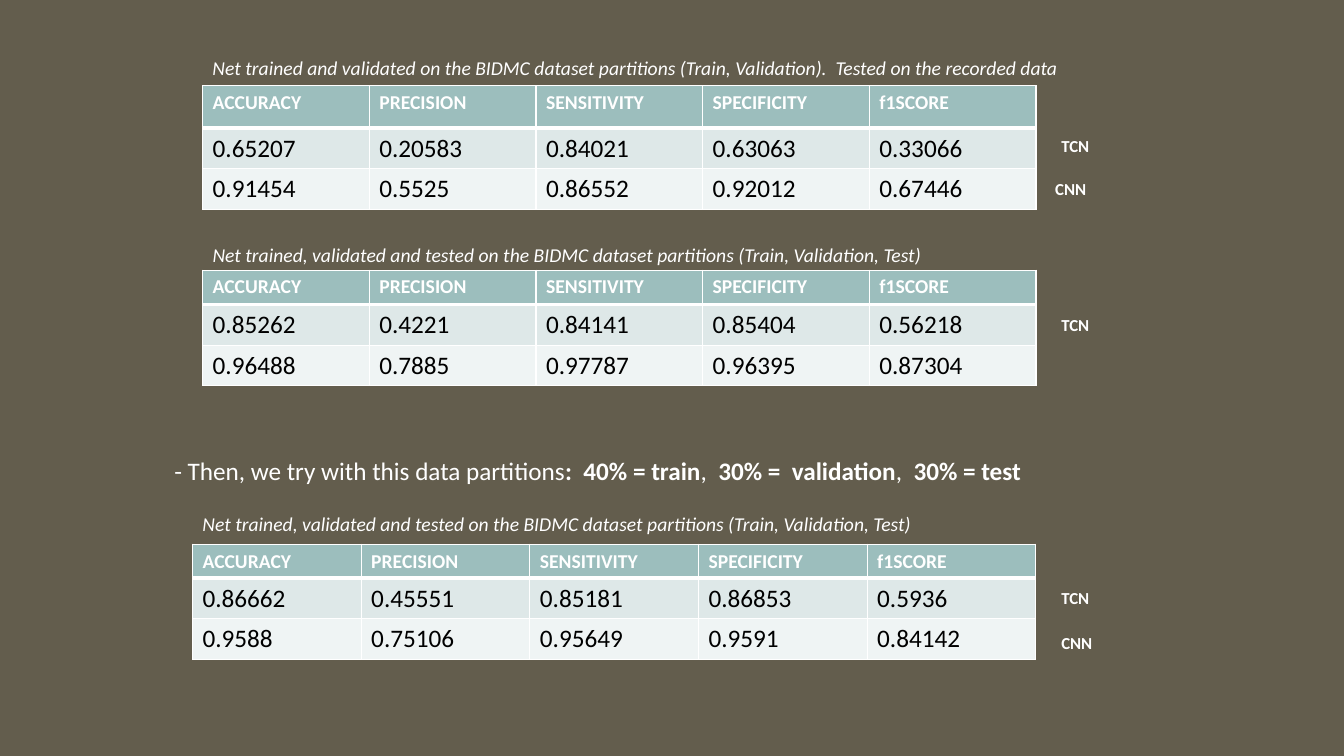
from dataclasses import dataclass

from lxml import etree
from pptx import Presentation
from pptx.dml.color import RGBColor
from pptx.oxml.ns import qn
from pptx.util import Pt


@dataclass(frozen=True)
class Theme:
    font: str = "Calibri"
    back: str = "635D4D"
    light: str = "FFFFFF"
    dark: str = "000000"
    head: str = "9CBEBD"
    bands: tuple = ("DEE8E8", "EFF4F4")
    body: int = 18
    small: int = 14
    tag: int = 12


THEME = Theme()
HEADS = ("ACCURACY", "PRECISION", "SENSITIVITY", "SPECIFICITY", "f1SCORE")
ROW = 29
SAME = "Net trained, validated and tested on the BIDMC dataset partitions (Train, Validation, Test)"
GROUPS = (
    dict(
        box=(144.7, 61.2, 595.3), head=30.3, lift=24.5, wide=640,
        title="Net trained and validated on the BIDMC dataset partitions (Train, Validation).  Tested on the recorded data",
        rows=(("0.65207", "0.20583", "0.84021", "0.63063", "0.33066"),
              ("0.91454", "0.5525", "0.86552", "0.92012", "0.67446")),
        tags=(("TCN", 11, 32.4), ("CNN", 6.6, 62.6)),
    ),
    dict(
        box=(144.7, 193, 595.3), head=24.5, lift=23, wide=531, title=SAME,
        rows=(("0.85262", "0.4221", "0.84141", "0.85404", "0.56218"),
              ("0.96488", "0.7885", "0.97787", "0.96395", "0.87304")),
        tags=(("TCN", 11, 28),),
    ),
    dict(
        box=(137.5, 388.8, 602.5), head=24, lift=26.6, wide=531, title=SAME,
        rows=(("0.86662", "0.45551", "0.85181", "0.86853", "0.5936"),
              ("0.9588", "0.75106", "0.95649", "0.9591", "0.84142")),
        tags=(("TCN", 11, 27.4), ("CNN", 11, 59.8)),
    ),
)
SPLIT = (
    ("- Then, we try with this data partitions", False),
    (":  40% = train", True),
    (",  ", False),
    ("30% =  validation", True),
    (",  ", False),
    ("30% = test", True),
)


def write(frame, text, size=THEME.body, color=THEME.light, bold=False, italic=False):
    run = frame.paragraphs[0].add_run()
    run.text = text
    font = run.font
    font.name = THEME.font
    font.size = Pt(size)
    font.bold = bold
    font.italic = italic
    font.color.rgb = RGBColor.from_string(color)


def add_box(slide, left, top, width, height):
    frame = slide.shapes.add_textbox(Pt(left), Pt(top), Pt(width), Pt(height)).text_frame
    frame.word_wrap = True
    return frame


def edge(cell, bottom):
    props = cell._tc.get_or_add_tcPr()
    for side, width in (("L", 1), ("R", 1), ("T", 1), ("B", bottom)):
        line = etree.SubElement(props, qn(f"a:ln{side}"), w=str(Pt(width)))
        fill = etree.SubElement(line, qn("a:solidFill"))
        etree.SubElement(fill, qn("a:srgbClr"), val=THEME.light)


def paint(cell, color, bottom=1):
    edge(cell, bottom)
    cell.fill.solid()
    cell.fill.fore_color.rgb = RGBColor.from_string(color)


def add_grid(slide, box, head, rows):
    left, top, width = box
    high = head + ROW * len(rows)
    table = slide.shapes.add_table(
        len(rows) + 1, len(HEADS), Pt(left), Pt(top), Pt(width), Pt(high)).table
    for col in table.columns:
        col.width = Pt(width / len(HEADS))
    table.rows[0].height = Pt(head)
    for cell, text in zip(table.rows[0].cells, HEADS):
        paint(cell, THEME.head, bottom=3)
        write(cell.text_frame, text, size=THEME.small, bold=True)
    for index, (values, band) in enumerate(zip(rows, THEME.bands), 1):
        table.rows[index].height = Pt(ROW)
        for cell, text in zip(table.rows[index].cells, values):
            paint(cell, band)
            write(cell.text_frame, text, color=THEME.dark)


def add_group(slide, box, head, lift, wide, title, rows, tags):
    left, top, width = box
    write(add_box(slide, left, top - lift, wide, 24), title, size=THEME.small, italic=True)
    add_grid(slide, box, head, rows)
    for name, right, down in tags:
        frame = add_box(slide, left + width + right, top + down, 115, 22)
        write(frame, name, size=THEME.tag, bold=True)


def add_split(slide, box):
    frame = add_box(slide, *box)
    for text, bold in SPLIT:
        write(frame, text, bold=bold)


def main():
    deck = Presentation()
    deck.slide_width, deck.slide_height = Pt(960), Pt(540)
    slide = deck.slides.add_slide(deck.slide_layouts[6])
    back = slide.background.fill
    back.solid()
    back.fore_color.rgb = RGBColor.from_string(THEME.back)
    for group in GROUPS:
        add_group(slide, **group)
    add_split(slide, (117.4, 321.8, 695, 29))
    deck.save("out.pptx")


if __name__ == "__main__":
    main()
